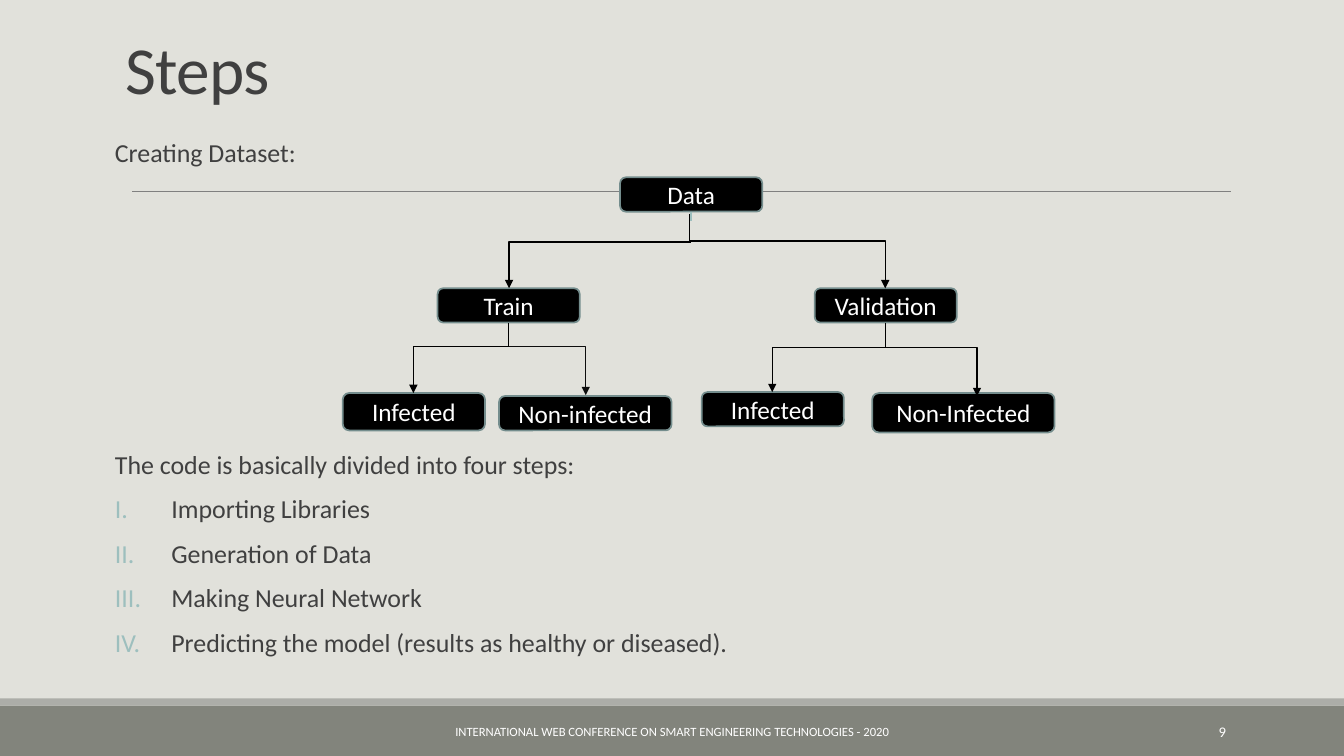
from lxml import etree
from pptx import Presentation
from pptx.dml.color import RGBColor
from pptx.enum.shapes import MSO_CONNECTOR, MSO_SHAPE
from pptx.enum.text import MSO_ANCHOR, MSO_AUTO_SIZE, PP_ALIGN
from pptx.oxml.ns import qn
from pptx.util import Inches, Pt

STRAIGHT, ELBOW = MSO_CONNECTOR.STRAIGHT, MSO_CONNECTOR.ELBOW
RECTANGLE, ROUNDED = MSO_SHAPE.RECTANGLE, MSO_SHAPE.ROUNDED_RECTANGLE
TOP, MIDDLE, BOTTOM = MSO_ANCHOR.TOP, MSO_ANCHOR.MIDDLE, MSO_ANCHOR.BOTTOM
LEFT, CENTER, RIGHT = PP_ALIGN.LEFT, PP_ALIGN.CENTER, PP_ALIGN.RIGHT
NO_FIT = MSO_AUTO_SIZE.NONE
BOTTOM_SIDE = 2

COLORS = {
    "background": "E1E1DB",
    "footer": "82847C",
    "strip": "ACADA8",
    "rule": "808080",
    "text": "404040",
    "accent": "9DBFBE",
    "outline": "748D8D",
    "black": "000000",
    "near_black": "0D0D0D",
    "white": "FFFFFF",
}
BODY_SPACING = {"line_spacing": 0.8, "space_before": Pt(12), "space_after": Pt(2)}


def color(name):
    return RGBColor.from_string(COLORS[name])


def apply(target, values):
    for name, value in values.items():
        setattr(target, name, value)


class SlideBuilder:
    font = "Calibri"

    def __init__(self, deck):
        self.page = deck.slides.add_slide(deck.slide_layouts[5])
        self.page.background.fill.solid()
        self.page.background.fill.fore_color.rgb = color("background")

    def fill_text(self, shape, lines, size, ink, anchor=TOP, margin=0.1, **spacing):
        frame = shape.text_frame
        side = Inches(margin)
        apply(frame, {"word_wrap": True, "auto_size": NO_FIT, "vertical_anchor": anchor,
                      "margin_left": side, "margin_right": side})
        for index, line in enumerate(lines):
            para = frame.paragraphs[0] if index == 0 else frame.add_paragraph()
            apply(para, spacing)
            span = para.add_run()
            span.text = line
            apply(span.font, {"name": self.font, "size": Pt(size)})
            span.font.color.rgb = color(ink)
        return frame.paragraphs

    def title(self, text, place):
        shape = self.page.shapes.title
        apply(shape, dict(zip(("left", "top", "width", "height"), map(Inches, place))))
        para = self.fill_text(shape, [text], 48, "text", BOTTOM,
                              alignment=LEFT, line_spacing=0.85)[0]
        para.runs[0].font._element.set("spc", "-50")

    def text(self, lines, place, size, ink, **style):
        box = self.page.shapes.add_textbox(*map(Inches, place))
        return self.fill_text(box, lines, size, ink, **style)

    def number(self, para):
        properties = para._p.get_or_add_pPr()
        properties.set("marL", str(Inches(0.56)))
        properties.set("indent", str(Inches(-0.56)))
        tint = etree.SubElement(properties, qn("a:buClr"))
        etree.SubElement(tint, qn("a:srgbClr"), val=COLORS["accent"])
        etree.SubElement(properties, qn("a:buAutoNum"), type="romanUcPeriod")

    def shape(self, kind, place, fill, outline=None):
        shape = self.page.shapes.add_shape(kind, *map(Inches, place))
        shape.shadow.inherit = False
        shape.fill.solid()
        shape.fill.fore_color.rgb = color(fill)
        if outline:
            shape.line.color.rgb = color(outline)
            shape.line.width = Pt(1.25)
        else:
            shape.line.fill.background()
        return shape

    def node(self, label, place):
        box = self.shape(ROUNDED, place, "black", "outline")
        self.fill_text(box, [label], 18, "white", MIDDLE, alignment=CENTER)
        return box

    def line(self, start, end, ink="black", width=1, kind=STRAIGHT):
        line = self.page.shapes.add_connector(kind, *map(Inches, start + end))
        line.line.color.rgb = color(ink)
        line.line.width = Pt(width)
        etree.SubElement(line._element.spPr, qn("a:effectLst"))
        return line

    def stem(self, box, bottom, ink="black"):
        center = (box.left + box.width / 2) / Inches(1)
        line = self.line((center, bottom), (center, bottom), ink)
        line.begin_connect(box, BOTTOM_SIDE)

    def branch(self, start, end, ink="black"):
        line = self.line(start, end, ink, kind=ELBOW)
        properties = line._element.spPr
        properties.find(qn("a:prstGeom")).set("prst", "bentConnector2")
        etree.SubElement(properties.find(qn("a:ln")), qn("a:tailEnd"), type="triangle")


def main():
    deck = Presentation()
    deck.slide_width, deck.slide_height = Inches(13.33), Inches(7.5)
    slide = SlideBuilder(deck)

    slide.shape(RECTANGLE, (0, 7, 13.33, 0.5), "footer")
    slide.shape(RECTANGLE, (0, 6.93, 13.33, 0.07), "strip")
    slide.line((1.31, 1.9), (12.21, 1.9), "rule", 0.5)
    slide.title("Steps", (1.14, 0.02, 10.83, 1.1))

    slide.text(["Creating Dataset:"], (1.14, 1.37, 10.83, 0.4), 18.5, "text",
               margin=0, **BODY_SPACING)
    steps = slide.text(
        ["The code is basically divided into four steps:",
         "Importing Libraries",
         "Generation of Data",
         "Making Neural Network",
         "Predicting the model (results as healthy or diseased)."],
        (1.14, 4.46, 10.83, 2.37), 18.5, "text", margin=0, **BODY_SPACING)
    for para in steps[1:]:
        slide.number(para)

    slide.text(["INTERNATIONAL WEB CONFERENCE ON SMART ENGINEERING TECHNOLOGIES - 2020"],
               (4.03, 7.06, 5.27, 0.4), 9, "white", anchor=MIDDLE, alignment=CENTER)
    slide.text(["9"], (10.83, 7.06, 1.43, 0.4), 10.5, "white", anchor=MIDDLE, alignment=RIGHT)

    data = slide.node("Data", (6.15, 1.76, 1.41, 0.34))
    train = slide.node("Train", (4.34, 2.86, 1.41, 0.34))
    validation = slide.node("Validation", (8.08, 2.86, 1.41, 0.34))
    for label, place in (
        ("Infected", (3.4, 3.9, 1.41, 0.37)),
        ("Non-infected", (4.95, 3.93, 1.71, 0.34)),
        ("Infected", (6.96, 3.89, 1.41, 0.34)),
        ("Non-Infected", (8.65, 3.9, 1.81, 0.39)),
    ):
        slide.node(label, place)

    slide.stem(data, 2.19, "accent")
    slide.line((6.84, 2.12), (6.84, 2.39))
    slide.stem(train, 3.44)
    slide.stem(validation, 3.44)
    for start, end, ink in (
        ((6.85, 2.4), (5.05, 2.86), "black"),
        ((6.84, 2.39), (8.78, 2.86), "black"),
        ((5.05, 3.44), (4.1, 3.9), "black"),
        ((5.05, 3.44), (5.81, 3.92), "near_black"),
        ((8.78, 3.45), (7.66, 3.89), "black"),
        ((8.78, 3.45), (9.69, 3.93), "black"),
    ):
        slide.branch(start, end, ink)

    deck.save("out.pptx")


if __name__ == "__main__":
    main()
